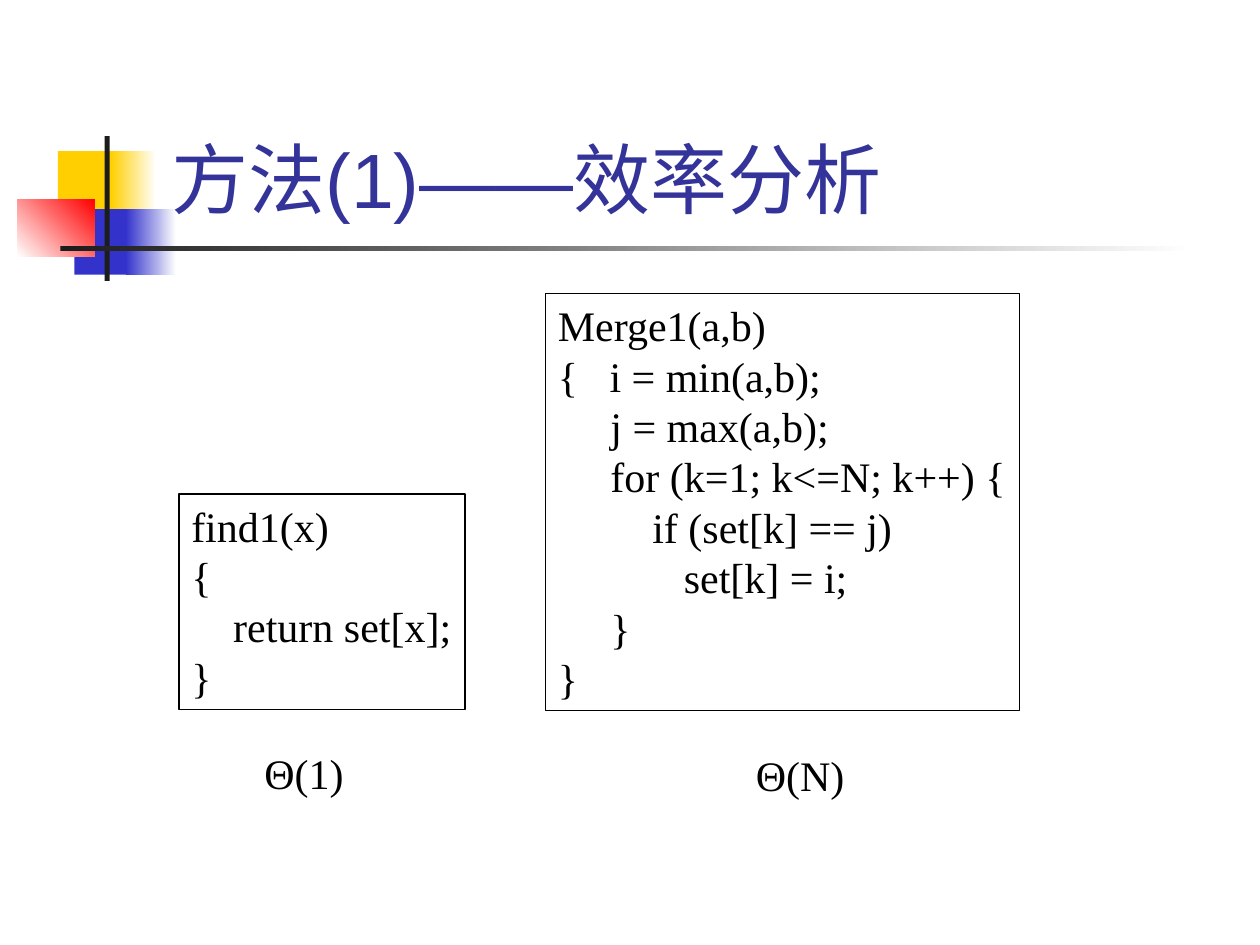
from pptx import Presentation
from pptx.dml.color import RGBColor
from pptx.enum.shapes import MSO_SHAPE
from pptx.enum.text import MSO_ANCHOR, MSO_AUTO_SIZE, PP_ALIGN
from pptx.util import Inches, Pt

RECT = MSO_SHAPE.RECTANGLE
LEFT = PP_ALIGN.LEFT
BOTTOM = MSO_ANCHOR.BOTTOM
FIT_SHAPE = MSO_AUTO_SIZE.SHAPE_TO_FIT_TEXT


def rgb(value):
    return RGBColor.from_string(value)


def write(tf, lines, font, size, color):
    for i, line in enumerate(lines):
        p = tf.paragraphs[0] if i == 0 else tf.add_paragraph()
        p.alignment = LEFT
        r = p.add_run()
        r.text = line
        r.font.name = font
        r.font.size = Pt(size)
        r.font.color.rgb = rgb(color)


prs = Presentation()
prs.slide_width = Inches(10)
prs.slide_height = Inches(7.5)
s = prs.slides.add_slide(prs.slide_layouts[5])

decorations = [
    (0.46, 1.2, 0.48, 0.52, ["FFCF01"], 0),
    (0.88, 1.2, 0.36, 0.52, ["FFCF01", "FFFFFF"], 0),
    (0.59, 1.66, 0.46, 0.52, ["3333CC"], 0),
    (1, 1.66, 0.4, 0.52, ["3333CC", "FFFFFF"], 0),
    (0.14, 1.58, 0.61, 0.46, ["FFFFFF", "FF0000"], 45),
    (0.83, 1.08, 0.04, 1.15, ["1C1C1C"], 0),
    (0.48, 1.95, 9, 0.04, ["1C1C1C", "FFFFFF"], 0),
]
for x, y, w, h, colors, angle in decorations:
    sp = s.shapes.add_shape(RECT, Inches(x), Inches(y), Inches(w), Inches(h))
    sp.shadow.inherit = False
    sp.line.fill.background()
    if len(colors) == 1:
        sp.fill.solid()
        sp.fill.fore_color.rgb = rgb(colors[0])
    else:
        sp.fill.gradient()
        sp.fill.gradient_angle = angle
        for stop, color in zip(sp.fill.gradient_stops, colors):
            stop.color.rgb = rgb(color)

title = s.shapes.title
title.left, title.top = Inches(1.26), Inches(0.23)
title.width, title.height = Inches(8.52), Inches(1.6)
title.text_frame.vertical_anchor = BOTTOM
write(title.text_frame, ["方法(1)——效率分析"], "Arial", 44, "333399")
s.shapes._spTree.append(title.element)

find_code = [
    "find1(x)",
    "{",
    "    return set[x];",
    "}",
]
merge_code = [
    "Merge1(a,b)",
    "{   i = min(a,b);",
    "     j = max(a,b);",
    "     for (k=1; k<=N; k++) {",
    "         if (set[k] == j)",
    "            set[k] = i;",
    "     }",
    "}",
]
boxes = [
    (1.42, 3.92, 2.27, 1.71, find_code, True),
    (4.33, 2.33, 3.76, 3.31, merge_code, True),
    (2, 5.88, 0.83, 0.5, ["Θ(1)"], False),
    (5.9, 5.9, 0.91, 0.5, ["Θ(N)"], False),
]
for x, y, w, h, lines, framed in boxes:
    sp = s.shapes.add_textbox(Inches(x), Inches(y), Inches(w), Inches(h))
    if framed:
        sp.line.color.rgb = rgb("000000")
        sp.line.width = Pt(0.75)
    tf = sp.text_frame
    tf.word_wrap = False
    tf.auto_size = FIT_SHAPE
    write(tf, lines, "Times New Roman", 24, "000000")

prs.save("out.pptx")
